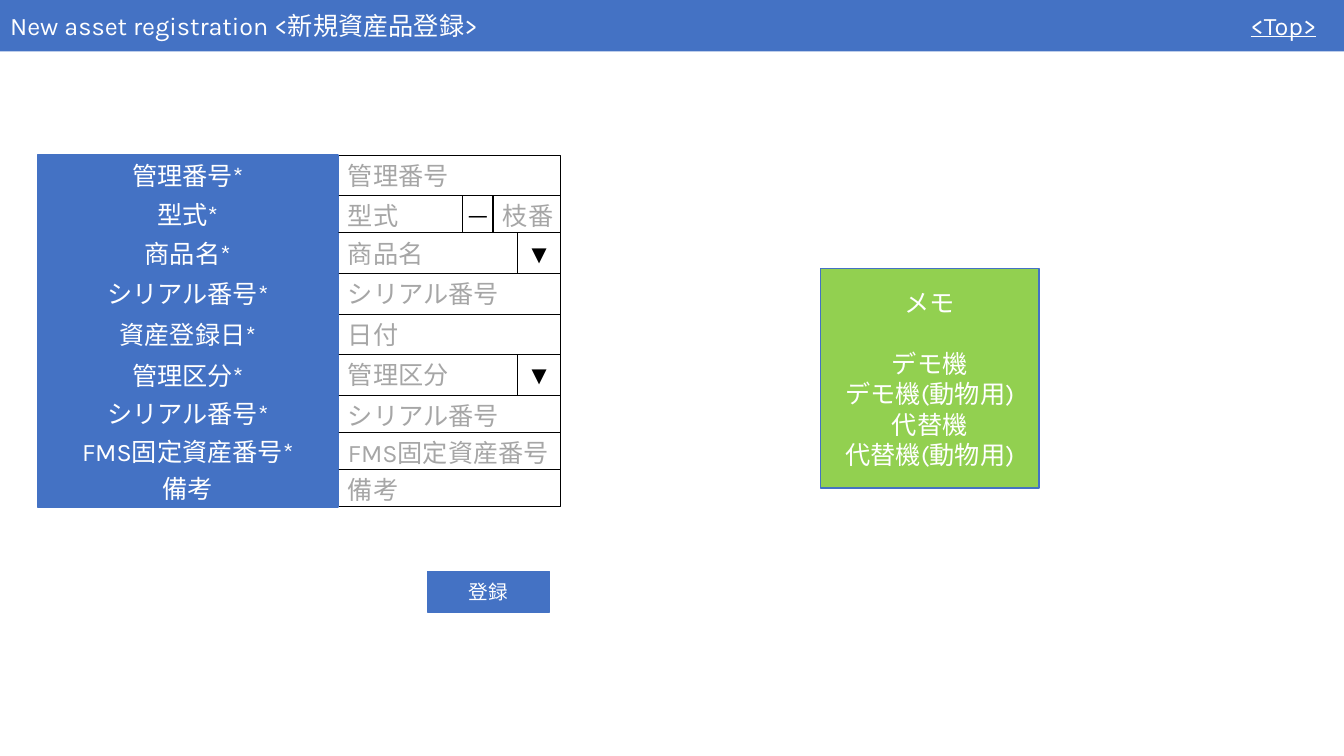
"""Builds the asset registration form slide."""
from dataclasses import dataclass

from pptx import Presentation
from pptx.dml.color import RGBColor
from pptx.enum.shapes import MSO_SHAPE
from pptx.enum.text import MSO_ANCHOR as Anchor, MSO_AUTO_SIZE as AutoSize, PP_ALIGN as Align
from pptx.util import Pt


@dataclass(frozen=True)
class Theme:
    """Colours, font and type sizes of the form."""
    blue: str = "4472C4"
    green: str = "92D050"
    white: str = "FFFFFF"
    black: str = "000000"
    hint: str = "A6A6A6"
    font: str = "Karla"
    text_size: float = 18
    small_size: float = 14


THEME = Theme()
FORM_TOP, TALL, SHORT = 110.8, 29, 26.6
LABEL_LEFT, LABEL_WIDTH = 26.6, 215
FIELD_LEFT, FIELD_WIDTH = 241.4, 159
ARROW_WIDTH, DASH_WIDTH, BRANCH_WIDTH = 30.6, 21.6, 48.2

WHOLE = [FIELD_WIDTH]
DROPDOWN = [FIELD_WIDTH - ARROW_WIDTH, ARROW_WIDTH]
MODEL = [FIELD_WIDTH - DASH_WIDTH - BRANCH_WIDTH, DASH_WIDTH, BRANCH_WIDTH]
SYMBOLS = ("▼", "―")

ROWS = [
    ("管理番号*", TALL, ["管理番号"], WHOLE),
    ("型式*", SHORT, ["型式", "―", "枝番"], MODEL),
    ("商品名*", TALL, ["商品名", "▼"], DROPDOWN),
    ("シリアル番号*", TALL, ["シリアル番号"], WHOLE),
    ("資産登録日*", TALL, ["日付"], WHOLE),
    ("管理区分*", TALL, ["管理区分", "▼"], DROPDOWN),
    ("シリアル番号*", SHORT, ["シリアル番号"], WHOLE),
    ("FMS固定資産番号*", SHORT, ["FMS固定資産番号"], WHOLE),
    ("備考", SHORT, ["備考"], WHOLE),
]


def write_text(frame, *lines, color=THEME.white, size=THEME.text_size, align=Align.CENTER,
               anchor=Anchor.MIDDLE, wrap=True, underline=None, first_gap=0):
    """Fill a text frame with one paragraph per line."""
    frame.auto_size = AutoSize.NONE
    frame.word_wrap = wrap
    frame.vertical_anchor = anchor
    for index, line in enumerate(lines):
        paragraph = frame.add_paragraph() if index else frame.paragraphs[0]
        paragraph.alignment = align
        run = paragraph.add_run()
        run.text = line
        run.font.name = THEME.font
        run.font.size = Pt(size)
        run.font.underline = underline
        run.font.color.rgb = RGBColor.from_string(color)
    if first_gap:
        frame.paragraphs[0].space_after = Pt(first_gap)


class FormSlide:
    """Holds the theme and the current slide, and draws its elements."""

    def __init__(self, presentation, theme):
        """Add a title-only slide."""
        self.theme = theme
        self.slide = presentation.slides.add_slide(presentation.slide_layouts[5])

    def header(self, text, width, height):
        """Turn the title placeholder into the top bar."""
        title = self.slide.shapes.title
        title.left, title.top, title.width, title.height = Pt(0), Pt(0), Pt(width), Pt(height)
        title.fill.solid()
        title.fill.fore_color.rgb = RGBColor.from_string(self.theme.blue)
        write_text(title.text_frame, text, align=Align.LEFT)

    def link(self, text, left, top, width, height):
        """Place underlined text."""
        box = self.slide.shapes.add_textbox(Pt(left), Pt(top), Pt(width), Pt(height))
        write_text(box.text_frame, text, align=Align.LEFT, anchor=Anchor.TOP, wrap=False,
                   underline=True)

    def box(self, lines, left, top, width, height, fill=None, line=THEME.blue, line_width=1,
            **text_format):
        """Draw a rectangle with text."""
        shape = self.slide.shapes.add_shape(
            MSO_SHAPE.RECTANGLE, Pt(left), Pt(top), Pt(width), Pt(height))
        shape.shadow.inherit = False
        if fill:
            shape.fill.solid()
            shape.fill.fore_color.rgb = RGBColor.from_string(fill)
        else:
            shape.fill.background()
        shape.line.color.rgb = RGBColor.from_string(line)
        shape.line.width = Pt(line_width)
        write_text(shape.text_frame, *lines, **text_format)

    def cell(self, text, left, top, width, height):
        """Draw one outlined input cell, with a hint or a symbol."""
        if text in SYMBOLS:
            text_format = dict(color=self.theme.black, size=self.theme.small_size)
        else:
            text_format = dict(color=self.theme.hint, align=Align.LEFT, anchor=Anchor.TOP)
        self.box([text], left, top, width, height, line=self.theme.black, line_width=0.75,
                 wrap=False, **text_format)

    def form(self, rows):
        """Stack the form rows, each with its cells and label."""
        top = FORM_TOP
        for label, height, texts, widths in rows:
            left = FIELD_LEFT
            for text, width in zip(texts, widths):
                self.cell(text, left, top, width, height)
                left += width
            self.box([label], LABEL_LEFT, top, LABEL_WIDTH, height, fill=self.theme.blue)
            top += height


def main():
    """Build and save the slide."""
    presentation = Presentation()
    presentation.slide_width, presentation.slide_height = Pt(960), Pt(540)
    page = FormSlide(presentation, THEME)
    page.header("New asset registration <新規資産品登録>", 960, 36.7)
    page.link("<Top>", 886.3, 3.6, 68.4, 28.8)
    page.form(ROWS)
    page.box(["登録"], 305.3, 408.2, 87.4, 29, fill=THEME.blue, size=THEME.small_size)
    page.box(["メモ", "デモ機", "デモ機(動物用)", "代替機", "代替機(動物用)"],
             586, 191.7, 156.3, 157, fill=THEME.green, first_gap=22)
    presentation.save("out.pptx")


if __name__ == "__main__":
    main()
